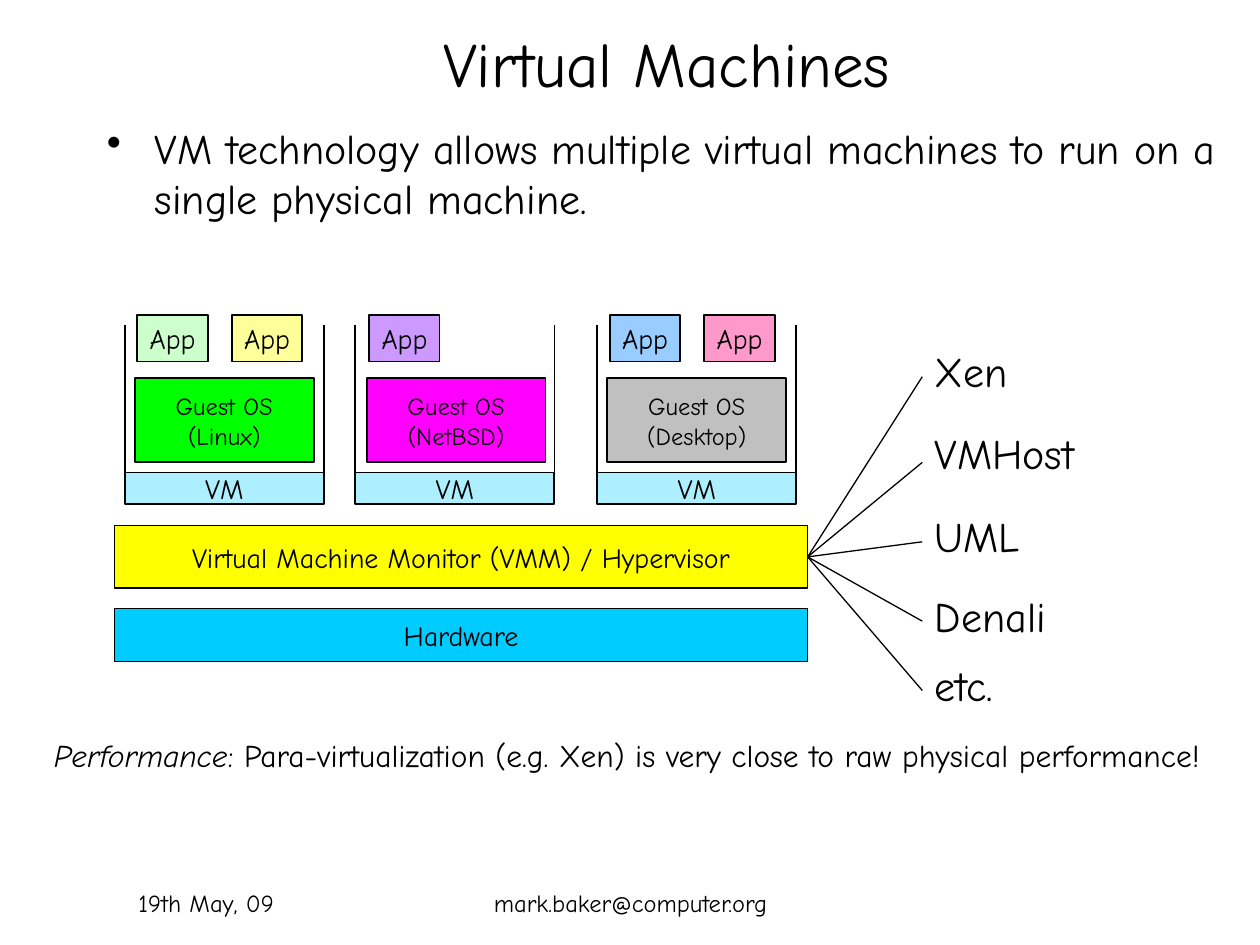
"""Build a slide on virtual machines and the layers beneath them."""
from dataclasses import dataclass
from typing import NamedTuple

from lxml import etree
from pptx import Presentation, util as u
from pptx.dml.color import RGBColor
from pptx.enum import shapes as s, text as t
from pptx.oxml import ns

SCALE = 9144
MID, TOP = t.MSO_ANCHOR.MIDDLE, t.MSO_ANCHOR.TOP
LEFT, MIDDLE = t.PP_ALIGN.LEFT, t.PP_ALIGN.CENTER


@dataclass(frozen=True)
class Theme:
    font: str = "Comic Neue"
    ink: str = "000000"
    cyan: str = "00CCFF"
    yellow: str = "FFFF00"
    title: int = 36
    body: int = 24
    note: int = 18
    label: int = 16
    small: int = 14
    edge: float = 1
    thin: float = 0.75


class Box(NamedTuple):
    left: int
    top: int
    width: int
    height: int


class Run(NamedTuple):
    text: str
    slant: bool = False


class App(NamedTuple):
    shift: int
    fill: str


class Guest(NamedTuple):
    left: int
    name: str
    fill: str
    inset: int
    apps: tuple[App, ...]


class Label(NamedTuple):
    text: str
    top: int
    end: int
    width: int = 263


THEME = Theme()
GUESTS = (
    Guest(99, "(Linux)", "00FF00", 8, (App(10, "CCFFCC"), App(85, "FFFF99"))),
    Guest(282, "(NetBSD)", "FF00FF", 9, (App(11, "CC99FF"),)),
    Guest(474, "(Desktop)", "C0C0C0", 8, (App(10, "99CCFF"), App(85, "FF99CC"))),
)
LABELS = (
    Label("Xen", 274, 299, 82),
    Label("VMHost", 339, 367),
    Label("UML", 405, 430),
    Label("Denali", 468, 493),
    Label("etc.", 523, 548),
)


def px(num: int) -> u.Emu:
    return u.Emu(num * SCALE)


def color(code: str) -> RGBColor:
    return RGBColor.from_string(code)


def write(frame, lines, size: int, align=LEFT, anchor=TOP, space=None, wrap=True) -> None:
    frame.word_wrap = wrap
    frame.vertical_anchor = anchor
    for num, line in enumerate(lines):
        para = frame.add_paragraph() if num else frame.paragraphs[0]
        para.alignment = align
        if space:
            para.line_spacing = space
        for part in line:
            run = para.add_run()
            run.text = part.text
            font = run.font
            font.name, font.size = THEME.font, u.Pt(size)
            font.italic = part.slant
            font.color.rgb = color(THEME.ink)


def note(tree, box: Box, runs, size: int, align=LEFT, anchor=TOP, space=None):
    item = tree.add_textbox(*map(px, box))
    write(item.text_frame, [runs], size, align, anchor, space)
    return item


def block(tree, box: Box, fill: str, lines, size: int, align=MIDDLE, anchor=MID):
    item = tree.add_shape(s.MSO_SHAPE.RECTANGLE, *map(px, box))
    item.shadow.inherit = False
    item.fill.solid()
    item.fill.fore_color.rgb = color(fill)
    item.line.color.rgb = color(THEME.ink)
    item.line.width = u.Pt(THEME.edge)
    write(item.text_frame, [[Run(line)] for line in lines], size, align, anchor, 1.02, False)
    return item


def fade(item, share: int) -> None:
    tint = item.fill._xPr.find(".//" + ns.qn("a:srgbClr"))
    etree.SubElement(tint, ns.qn("a:alpha"), val=str(share * 1000))


def link(tree, start: tuple[int, int], end: tuple[int, int], width: float) -> None:
    item = tree.add_connector(s.MSO_CONNECTOR.STRAIGHT, *map(px, start + end))
    item.line.color.rgb = color(THEME.ink)
    item.line.width = u.Pt(width)
    etree.SubElement(item._element.spPr, ns.qn("a:effectLst"))


def stack(tree, guest: Guest) -> None:
    left, right, top, base = guest.left, guest.left + 158, 258, 400
    block(tree, Box(left + guest.inset, 300, 142, 67), guest.fill,
          ("Guest OS", guest.name), THEME.small)
    group = tree.add_group_shape().shapes
    for start, end in (((left, top), (left, base)), ((right, top), (right, base)),
                       ((left, base), (right, base))):
        link(group, start, end, THEME.edge)
    fade(block(group, Box(left, 375, 158, 25), THEME.cyan, ("VM",), THEME.label), 32)
    for app in guest.apps:
        block(tree, Box(left + app.shift, 250, 56, 37), app.fill, ("App",),
              THEME.label, LEFT, TOP)


def bullet(item) -> None:
    props = item.text_frame.paragraphs[0]._p.get_or_add_pPr()
    props.set("marL", str(px(38)))
    props.set("indent", str(-px(38)))
    etree.SubElement(props, ns.qn("a:buChar"), char="•")


def main() -> None:
    deck = Presentation()
    deck.slide_width, deck.slide_height = px(1000), px(750)
    tree = deck.slides.add_slide(deck.slide_layouts[6]).shapes
    note(tree, Box(75, 8, 908, 83), [Run("Virtual Machines")], THEME.title, MIDDLE, MID)
    bullet(note(tree, Box(75, 92, 908, 600), [Run(
        "VM technology allows multiple virtual machines to run on a single physical machine.")],
        THEME.body))
    block(tree, Box(91, 483, 550, 42), THEME.cyan, ("Hardware",), THEME.label)
    block(tree, Box(91, 417, 550, 50), THEME.yellow,
          ("Virtual Machine Monitor (VMM) / Hypervisor",), THEME.label)
    for guest in GUESTS:
        stack(tree, guest)
    for label in LABELS:
        note(tree, Box(732, label.top, label.width, 51), [Run(label.text)],
             THEME.body, space=0.9)
        link(tree, (641, 442), (732, label.end), THEME.thin)
    note(tree, Box(33, 583, 967, 67), [Run("Performance", True), Run(
        ": Para-virtualization (e.g. Xen) is very close to raw physical performance!")],
        THEME.note, space=0.9)
    note(tree, Box(100, 700, 208, 50), [Run("19th May, 09")], THEME.small)
    note(tree, Box(342, 700, 317, 50), [Run("mark.baker@computer.org")], THEME.small, MIDDLE)
    deck.save("out.pptx")


if __name__ == "__main__":
    main()
